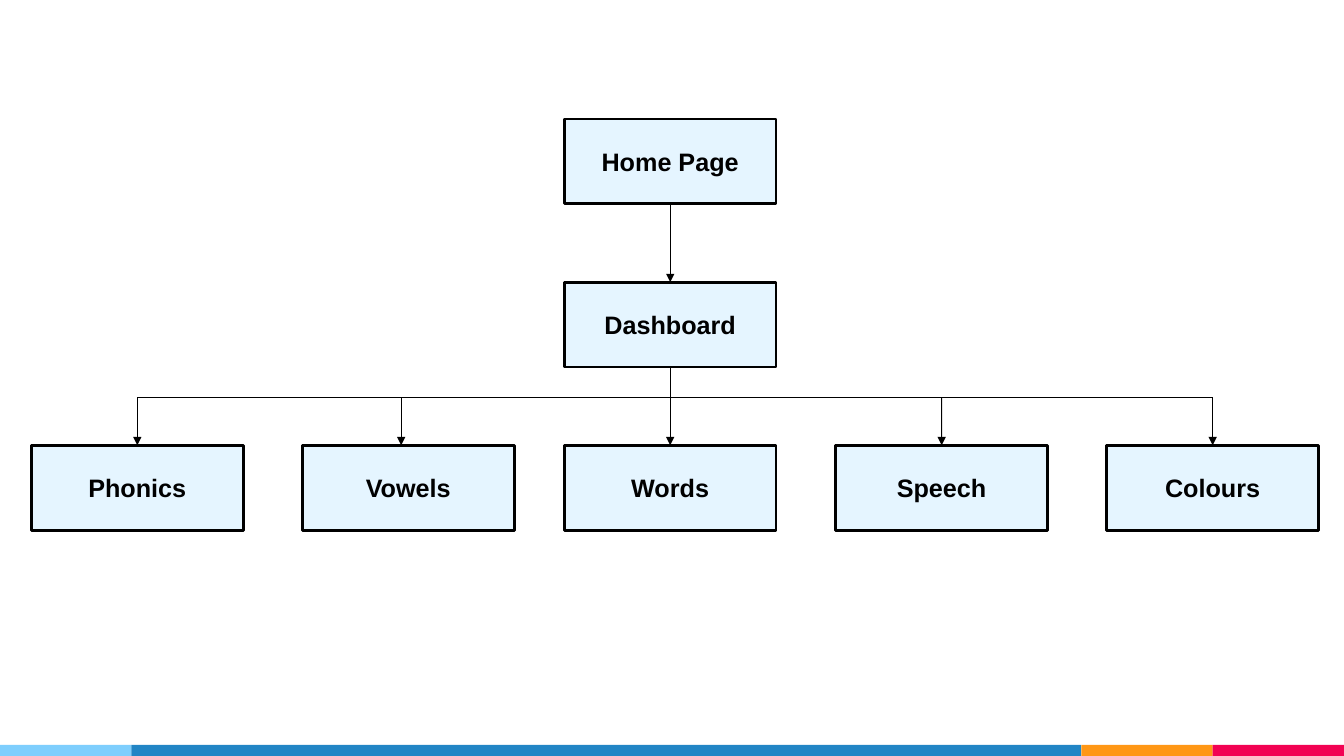
from pptx import Presentation
from pptx.dml.color import RGBColor
from pptx.enum.shapes import MSO_CONNECTOR as Link, MSO_SHAPE as Shape
from pptx.enum.text import MSO_ANCHOR as Anchor, PP_ALIGN as Align
from pptx.oxml.ns import qn
from pptx.util import Cm, Pt
from lxml.etree import SubElement

BLACK = RGBColor(0x00, 0x00, 0x00)
PALE = RGBColor(0xE5, 0xF5, 0xFF)
SKY = RGBColor(0x7E, 0xCE, 0xFD)
BLUE = RGBColor(0x21, 0x85, 0xC5)
AMBER = RGBColor(0xFF, 0x97, 0x15)
PINK = RGBColor(0xF2, 0x02, 0x53)

WIDE, HIGH = 5.34, 2.14
TOP, STEP = 3.0, 4.11
MID = 14.22
RAIL = 10.01
FONT = {"name": "Arial", "size": Pt(18), "bold": True}
STRIPES = [(SKY, 3.31), (BLUE, 23.94), (AMBER, 3.31), (PINK, 3.31)]
# Label, left edge, shift of the arrow from the middle of the box
LEAVES = [
    ("Phonics", 0.79, 0),
    ("Vowels", 7.62, -0.18),
    ("Words", MID, 0),
    ("Speech", 21.06, 0),
    ("Colours", 27.89, 0),
]


def add_rect(slide, left, top, width, height, fill):
    rect = slide.shapes.add_shape(
        Shape.RECTANGLE, Cm(left), Cm(top), Cm(width), Cm(height))
    rect.shadow.inherit = False
    rect.fill.solid()
    rect.fill.fore_color.rgb = fill
    rect.line.fill.background()
    return rect


def add_box(slide, label, left, row):
    """Add a page box in the given row of the site map."""
    box = add_rect(slide, left, TOP + row * STEP, WIDE, HIGH, PALE)
    box.line.color.rgb = BLACK
    box.line.width = Pt(2)
    frame = box.text_frame
    frame.vertical_anchor = Anchor.MIDDLE
    para = frame.paragraphs[0]
    para.text = label
    para.alignment = Align.CENTER
    for key, value in FONT.items():
        setattr(para.font, key, value)
    para.font.color.rgb = BLACK
    return box


def add_line(slide, start, end, arrow=True):
    line = slide.shapes.add_connector(
        Link.STRAIGHT, *(Cm(num) for num in start + end))
    line.line.color.rgb = BLACK
    line.line.width = Pt(0.75)
    if arrow:
        SubElement(line.line._get_or_add_ln(), qn("a:tailEnd"), type="triangle")
    SubElement(line._element.spPr, qn("a:effectLst"))
    return line


def join(slide, upper, lower):
    """Draw an arrow from the bottom of one box to the top of the next."""
    line = add_line(slide, (0, 0), (0, 0))
    line.begin_connect(upper, 2)
    line.end_connect(lower, 0)


def add_footer(slide):
    left = 0
    for fill, width in STRIPES:
        add_rect(slide, left, 18.77, width, 0.28, fill)
        left += width


def add_tree(slide):
    home = add_box(slide, "Home Page", MID, 0)
    dash = add_box(slide, "Dashboard", MID, 1)
    join(slide, home, dash)
    for label, left, shift in LEAVES:
        leaf = add_box(slide, label, left, 2)
        if left == MID:
            join(slide, dash, leaf)
            continue
        drop = left + WIDE / 2 + shift
        line = add_line(slide, (drop, RAIL), (drop, TOP + 2 * STEP))
        if not shift:
            line.end_connect(leaf, 0)
    first, last = (LEAVES[i][1] + WIDE / 2 for i in (0, -1))
    add_line(slide, (first, RAIL), (last, RAIL), arrow=False)


def main():
    deck = Presentation()
    deck.slide_width, deck.slide_height = Cm(33.87), Cm(19.05)
    slide = deck.slides.add_slide(deck.slide_layouts[6])
    add_footer(slide)
    add_tree(slide)
    deck.save("out.pptx")


if __name__ == "__main__":
    main()
